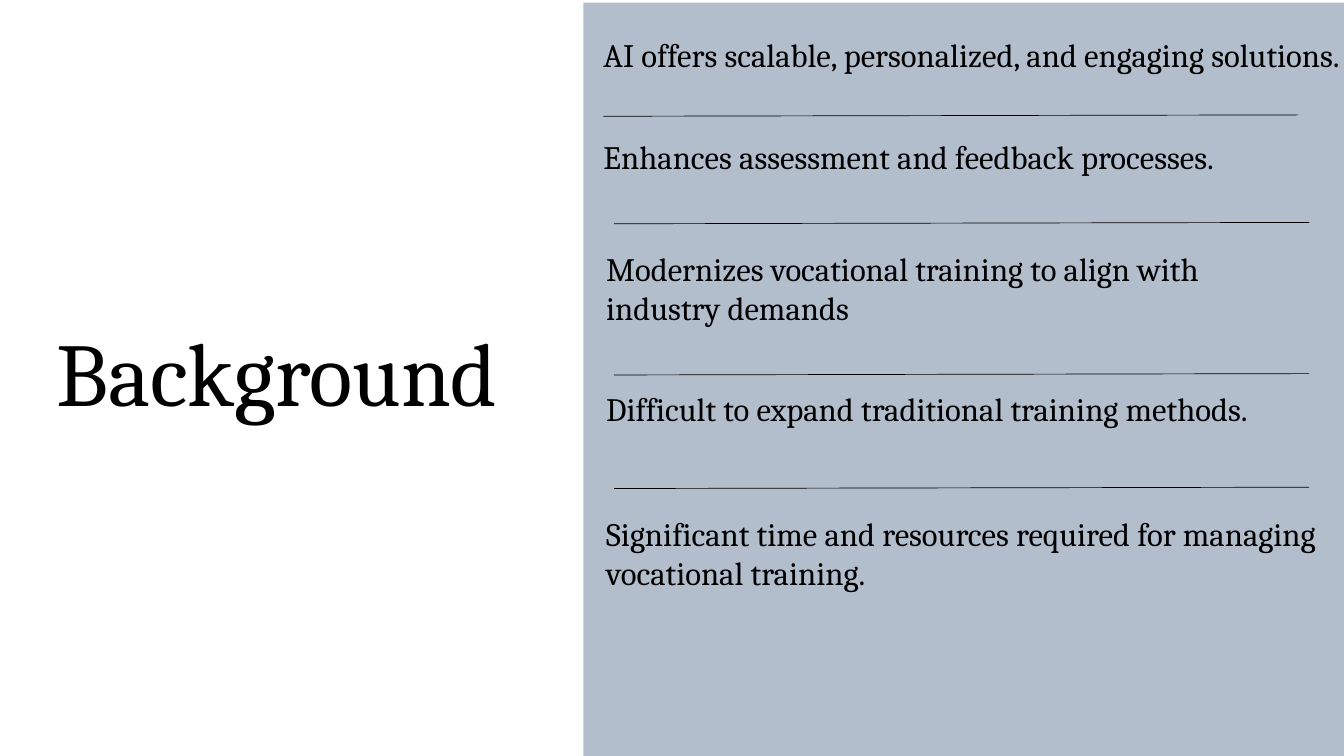
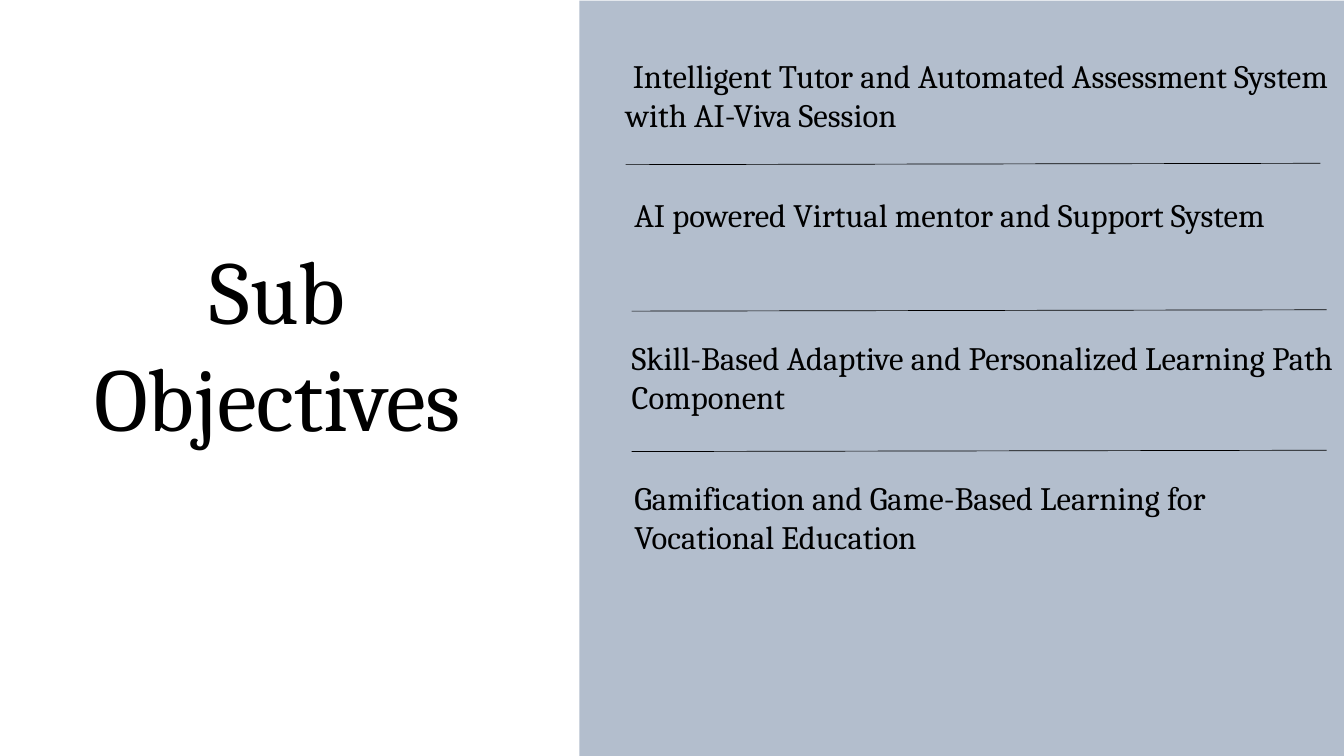
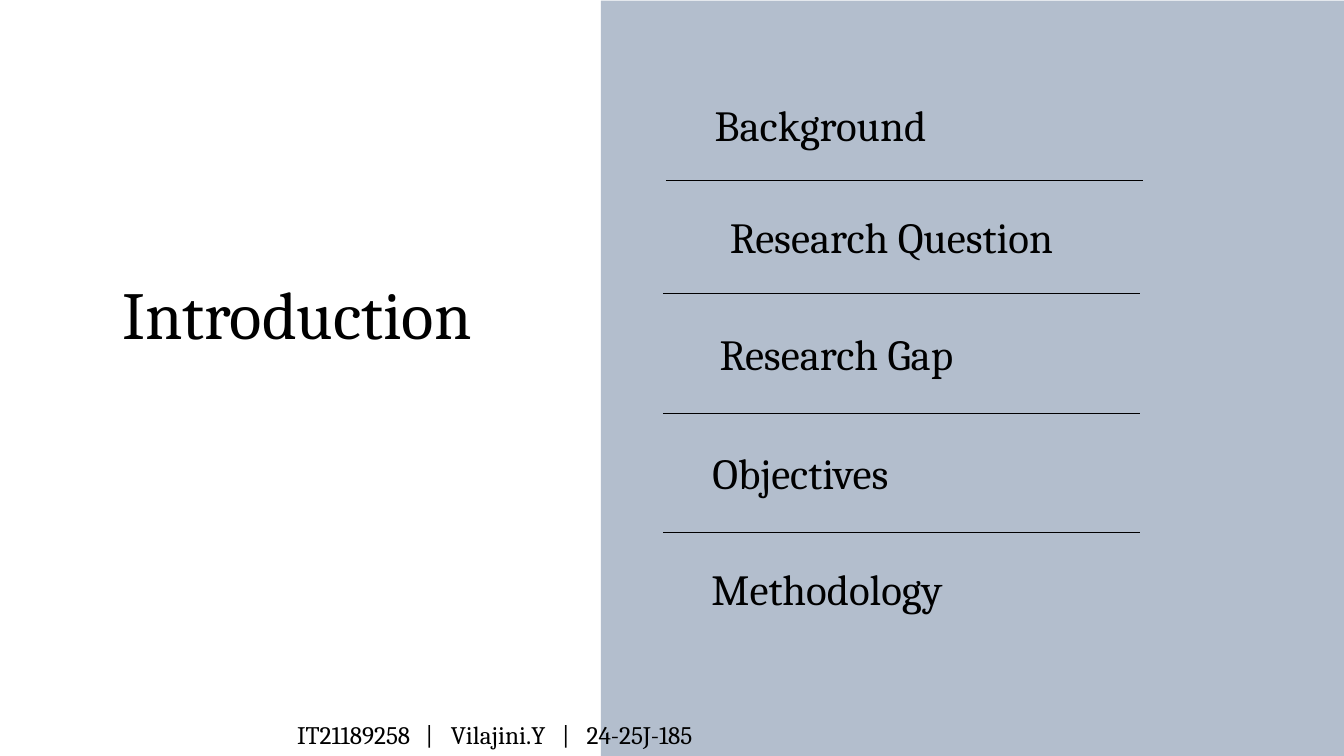
import pptx
import pptx.dml.color
import pptx.enum.shapes
import pptx.enum.text
import pptx.oxml
import pptx.oxml.ns
import pptx.util
from pptx.util import Inches

COLORS = {"paper": "FFFFFF", "band": "B3BECD", "ink": "000000"}
FONT = "Cambria"
SLIDE_W, SLIDE_H = 20, 11.25
TITLE_SPACING = -10  # hundredths of a point
LEFT = pptx.enum.text.PP_ALIGN.LEFT
CENTER = pptx.enum.text.PP_ALIGN.CENTER

# Boxes are (left, top, width, height) and rules are (left, top), in inches.
SLIDES = [
    {
        "title": ("Background", 96, (0.47, 4.71, 7.3, 1.6)),
        "band": (8.68, 0.04),
        "item_size": 35, "item_align": LEFT,
        "items": [
            ("AI offers scalable, personalized, and engaging solutions.",
             (8.98, 0.52, 12.09, 1.19)),
            ("Enhances assessment and feedback processes.",
             (8.98, 2.04, 10.3, 1.16)),
            ("Modernizes vocational training to align with industry demands",
             (9.02, 3.7, 10.46, 1.19)),
            ("Difficult to expand traditional training methods.",
             (9.02, 5.79, 10.71, 1.16)),
            ("Significant time and resources required for managing "
             "vocational training.", (9.02, 7.64, 10.71, 1.19)),
        ],
        "rule_size": (10.34, 0.02),
        "rules": [(8.98, 1.71), (9.14, 3.31), (9.14, 5.56), (9.14, 7.25)],
    },
    {
        "title": ("Sub Objectives", 96, (0.57, 3.49, 7.12, 3.2)),
        "band": (8.62, 0.01),
        "item_size": 35, "item_align": LEFT,
        "items": [
            (" Intelligent Tutor and Automated Assessment System "
             "with AI-Viva Session", (9.31, 0.83, 11.02, 1.19)),
            ("AI powered Virtual mentor and Support System",
             (9.44, 2.9, 10.46, 1.19)),
            ("Skill-Based Adaptive and Personalized Learning Path Component",
             (9.4, 5.02, 10.46, 1.19)),
            ("Gamification and Game-Based Learning for Vocational Education",
             (9.44, 7.11, 10.56, 1.77)),
        ],
        "rule_size": (10.34, 0.02),
        "rules": [(9.31, 2.43), (9.4, 4.61), (9.4, 6.7)],
    },
    {
        "title": ("Introduction", 72, (1.21, 4.05, 6.42, 1.21)),
        "band": (8.94, 0.01),
        "item_size": 46, "item_align": CENTER,
        "items": [
            ("Background", (10.3, 1.47, 3.82, 0.77)),
            ("Research Question", (10.3, 3.14, 5.93, 0.77)),
            ("Research Gap", (9.87, 4.87, 5.15, 0.77)),
            ("Objectives", (10, 6.64, 3.82, 0.77)),
            ("Methodology", (10, 8.37, 4.61, 0.77)),
        ],
        "rule_size": (7.1, 0),
        "rules": [(9.91, 2.69), (9.87, 4.37), (9.87, 6.15), (9.87, 7.92)],
        "footer": ["IT21189258", "|", "Vilajini.Y", "|", "24-25J-185"],
    },
]
FOOTER_BOX = (4.42, 10.71, 10.99, 0.47)
FOOTER_SIZE = 27
FOOTER_TABS = [1.91, 2.29, 3.94, 4.31]


def rgb(name):
    return pptx.dml.color.RGBColor.from_string(COLORS[name])


def set_text(sp, text, size, align):
    """Fill a frame with one paragraph, with no insets and 1.2 line pitch."""
    tf = sp.text_frame
    tf.text = text
    tf.word_wrap = True
    tf.auto_size = pptx.enum.text.MSO_AUTO_SIZE.SHAPE_TO_FIT_TEXT
    tf.vertical_anchor = pptx.enum.text.MSO_ANCHOR.TOP
    tf.margin_left = tf.margin_right = tf.margin_top = tf.margin_bottom = 0
    p = tf.paragraphs[0]
    p.alignment = align
    p.line_spacing = pptx.util.Pt(size * 1.2)
    for r in p.runs:
        r.font.name = FONT
        r.font.size = pptx.util.Pt(size)
        r.font.color.rgb = rgb("ink")
    return p


def add_text(s, text, box, size, align):
    sp = s.shapes.add_textbox(*map(Inches, box))
    return set_text(sp, text, size, align)


def add_title(s, text, size, box):
    sp = s.shapes.title
    sp.left, sp.top, sp.width, sp.height = map(Inches, box)
    p = set_text(sp, text, size, CENTER)
    for r in p.runs:
        r._r.get_or_add_rPr().set("spc", str(TITLE_SPACING))


def add_band(s, left, top):
    """Panel that runs from its top left corner to the slide's far corner."""
    box = (left, top, SLIDE_W - left, SLIDE_H - top)
    sp = s.shapes.add_shape(pptx.enum.shapes.MSO_SHAPE.RECTANGLE,
                            *map(Inches, box))
    sp.shadow.inherit = False
    sp.fill.solid()
    sp.fill.fore_color.rgb = rgb("band")
    sp.line.fill.background()


def add_rule(s, left, top, width, rise):
    ends = (left, top + rise, left + width, top)
    line = s.shapes.add_connector(pptx.enum.shapes.MSO_CONNECTOR.STRAIGHT,
                                  *map(Inches, ends))
    line.line.color.rgb = rgb("ink")
    line.line.width = pptx.util.Pt(0.75)
    pptx.oxml.xmlchemy.OxmlElement  # effect list is built below
    line._element.spPr.append(
        pptx.oxml.parse_xml("<a:effectLst %s/>" % pptx.oxml.ns.nsdecls("a")))


def add_footer(s, parts):
    p = add_text(s, "\t".join(parts), FOOTER_BOX, FOOTER_SIZE, LEFT)
    stops = "".join('<a:tab pos="%d" algn="l"/>' % Inches(x)
                    for x in FOOTER_TABS)
    p._p.get_or_add_pPr().append(pptx.oxml.parse_xml(
        "<a:tabLst %s>%s</a:tabLst>" % (pptx.oxml.ns.nsdecls("a"), stops)))


def add_slide(prs, data):
    s = prs.slides.add_slide(prs.slide_layouts[5])
    s.background.fill.solid()
    s.background.fill.fore_color.rgb = rgb("paper")
    add_title(s, *data["title"])
    add_band(s, *data["band"])
    for left, top in data["rules"]:
        add_rule(s, left, top, *data["rule_size"])
    for text, box in data["items"]:
        add_text(s, text, box, data["item_size"], data["item_align"])
    if "footer" in data:
        add_footer(s, data["footer"])


def main():
    prs = pptx.Presentation()
    prs.slide_width, prs.slide_height = Inches(SLIDE_W), Inches(SLIDE_H)
    for data in SLIDES:
        add_slide(prs, data)
    prs.save("out.pptx")


if __name__ == "__main__":
    main()
